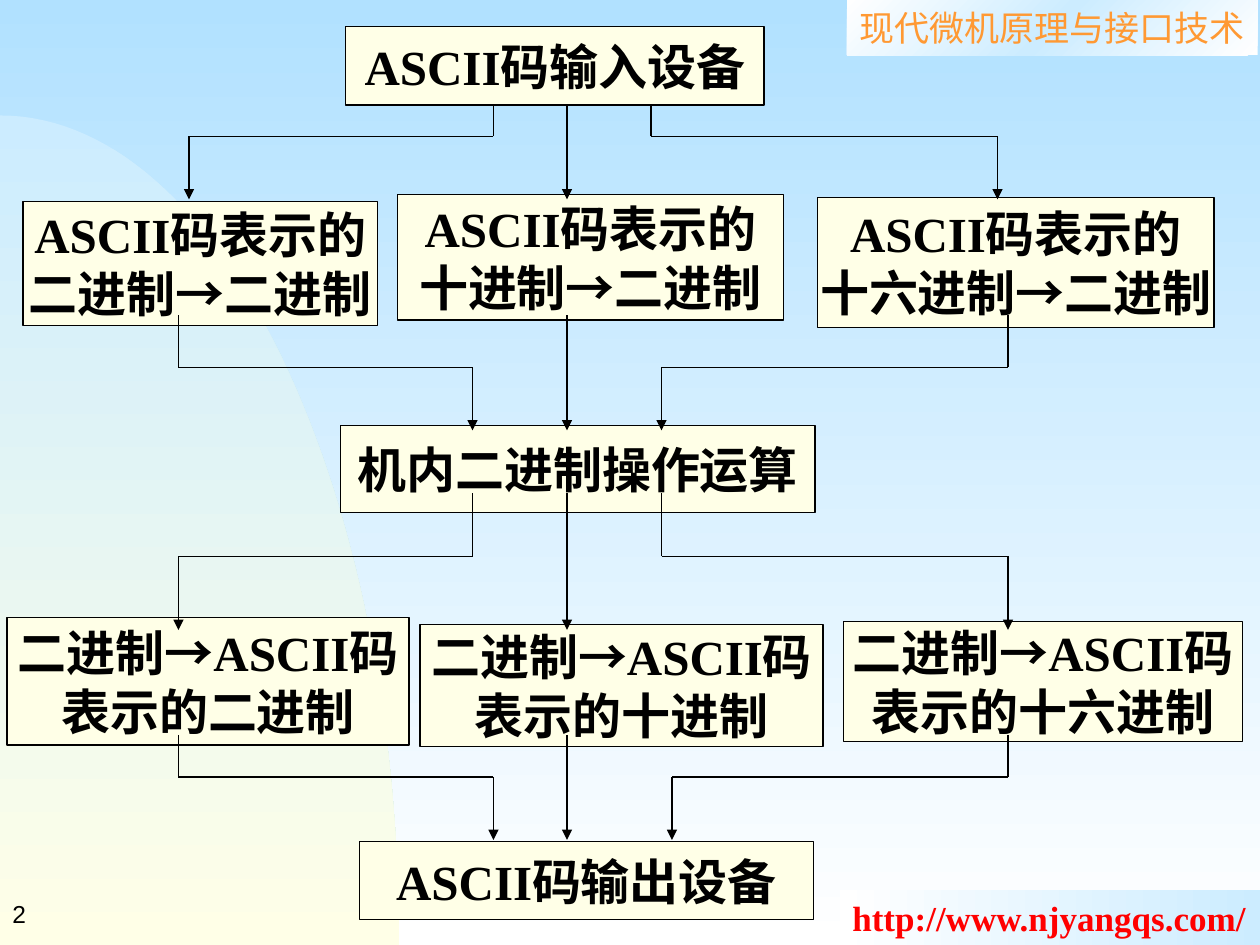
"""Build the flow chart slide of ASCII code conversions."""
import copy

import lxml.etree
import pptx
import pptx.dml.color
import pptx.enum.shapes
import pptx.enum.text
import pptx.oxml.ns
import pptx.util

Pt = pptx.util.Pt
ALIGN = pptx.enum.text.PP_ALIGN
ANCHOR = pptx.enum.text.MSO_ANCHOR
FIT = pptx.enum.text.MSO_AUTO_SIZE
RECTANGLE = pptx.enum.shapes.MSO_SHAPE.RECTANGLE
STRAIGHT = pptx.enum.shapes.MSO_CONNECTOR.STRAIGHT

COLORS = {
    "sky": "B1E1FF",
    "ice": "CCECFF",
    "cream": "FFFFE7",
    "white": "FFFFFF",
    "black": "000000",
    "orange": "FF9933",
    "red": "FF0000",
}


def color(name):
    return pptx.dml.color.RGBColor.from_string(COLORS[name])


class FlowSlide:
    def __init__(self, slide):
        self.slide = slide
        self.serif = "Times New Roman"
        self.sans = "Arial"
        self.line_width = Pt(0.75)

    def gradient(self, element, fill, names, angle):
        fill.gradient()
        fill.gradient_angle = angle
        stop_list = element.xpath(".//a:gsLst")[0]
        for _ in names[2:]:
            stop_list.insert(1, copy.deepcopy(stop_list[0]))
        for index, (stop, name) in enumerate(zip(fill.gradient_stops, names)):
            stop.position = index / (len(names) - 1)
            stop.color.rgb = color(name)

    def background(self, names):
        self.gradient(self.slide._element, self.slide.background.fill, names, 270)

    def arc(self, start, first, second, end, names, steps=60):
        points = []
        for step in range(1, steps + 1):
            t = step / steps
            weights = ((1 - t) ** 3, 3 * t * (1 - t) ** 2, 3 * t * t * (1 - t), t ** 3)
            points.append([
                Pt(sum(w * value for w, value in zip(weights, axis)))
                for axis in zip(start, first, second, end)
            ])
        builder = self.slide.shapes.build_freeform(Pt(start[0]), Pt(start[1]))
        builder.add_line_segments(points + [(Pt(start[0]), Pt(end[1]))], close=True)
        shape = builder.convert_to_shape()
        shape.shadow.inherit = False
        shape.line.fill.background()
        self.gradient(shape._element, shape.fill, names, 270)

    def add_lines(self, shape, lines, alignment, **format_values):
        frame = shape.text_frame
        frame.word_wrap = False
        for index, line in enumerate(lines):
            paragraph = frame.add_paragraph() if index else frame.paragraphs[0]
            paragraph.alignment = alignment
            for text in filter(None, line.partition("→")):
                run = paragraph.add_run()
                run.text = text
                values = {"name": self.serif, **format_values}
                font_color = values.pop("color")
                if text == "→":
                    values["name"] = self.sans
                for key, value in values.items():
                    setattr(run.font, key, value)
                run.font.color.rgb = color(font_color)

    def rectangle(self, bounds):
        shape = self.slide.shapes.add_shape(RECTANGLE, *map(Pt, bounds))
        shape.shadow.inherit = False
        return shape

    def label(self, bounds, text, names, angle, **format_values):
        shape = self.rectangle(bounds)
        shape.line.fill.background()
        self.gradient(shape._element, shape.fill, names, angle)
        self.add_lines(shape, [text], ALIGN.LEFT, size=Pt(20), **format_values)
        shape.text_frame.vertical_anchor = ANCHOR.TOP
        shape.text_frame.auto_size = FIT.SHAPE_TO_FIT_TEXT

    def number(self, bounds, text):
        shape = self.slide.shapes.add_textbox(*map(Pt, bounds))
        self.add_lines(shape, [text], ALIGN.LEFT, size=Pt(14), name=self.sans, color="black")
        shape.text_frame.vertical_anchor = ANCHOR.MIDDLE

    def box(self, bounds, *lines):
        shape = self.rectangle(bounds)
        shape.fill.solid()
        shape.fill.fore_color.rgb = color("cream")
        shape.line.color.rgb = color("black")
        shape.line.width = self.line_width
        self.add_lines(shape, lines, ALIGN.CENTER, size=Pt(28), bold=True, color="black")
        shape.text_frame.vertical_anchor = ANCHOR.MIDDLE

    def segment(self, start, end, arrow):
        connector = self.slide.shapes.add_connector(STRAIGHT, *map(Pt, start + end))
        connector.line.color.rgb = color("black")
        connector.line.width = self.line_width
        qn = pptx.oxml.ns.qn
        properties = connector._element.spPr
        if arrow:
            line = properties.find(qn("a:ln"))
            lxml.etree.SubElement(line, qn("a:tailEnd"), type="triangle")
        lxml.etree.SubElement(properties, qn("a:effectLst"))

    def route(self, start_x, end_x, top, bend, bottom):
        points = [(start_x, top), (start_x, bend), (end_x, bend), (end_x, bottom)]
        if start_x == end_x:
            points = [points[0], points[-1]]
        for start, end in zip(points, points[1:]):
            self.segment(start, end, end == points[-1])


def main():
    presentation = pptx.Presentation()
    presentation.slide_width, presentation.slide_height = Pt(720), Pt(540)
    flow = FlowSlide(presentation.slides.add_slide(presentation.slide_layouts[6]))

    flow.background(["sky", "white"])
    flow.arc((0, 66), (126, 66), (228, 278), (228, 540), ["ice", "cream"])
    flow.label((484, 0, 234.7, 31.5), "现代微机原理与接口技术",
               ["white", "ice", "white"], 315, color="orange")
    flow.label((480, 508.8, 240.5, 31.5), "http://www.njyangqs.com/",
               ["white", "ice"], 0, color="red", bold=True)
    flow.number((0, 504, 150, 36), "2")

    flow.box((197.5, 15.2, 239.2, 44.8), "ASCII码输入设备")
    flow.box((194.5, 243.3, 271.2, 49.7), "机内二进制操作运算")
    flow.box((205.5, 480.8, 259.2, 44.8), "ASCII码输出设备")
    branches = [
        ("二进制", (13.1, 115.1, 202.6, 70.8), (4, 352.8, 229.8, 73)),
        ("十进制", (227.1, 111.1, 220.6, 71.8), (240, 357, 230.4, 69.8)),
        ("十六进制", (467.2, 112.8, 226.6, 74.2), (481.9, 355.1, 228.2, 68.5)),
    ]
    for base, decoder, encoder in branches:
        flow.box(decoder, "ASCII码表示的", f"{base}→二进制")
        flow.box(encoder, "二进制→ASCII码", f"表示的{base}")

    stages = [
        ((60, 78, 114), [(282, 108), (324, 324), (372, 570)]),
        ((180, 210, 246), [(102, 270), (324, 324), (576, 378)]),
        ((282, 318, 360), [(270, 102), (324, 324), (378, 576)]),
        ((420, 444, 480), [(102, 282), (324, 324), (576, 384)]),
    ]
    for levels, routes in stages:
        for start_x, end_x in routes:
            flow.route(start_x, end_x, *levels)

    presentation.save("out.pptx")


if __name__ == "__main__":
    main()
